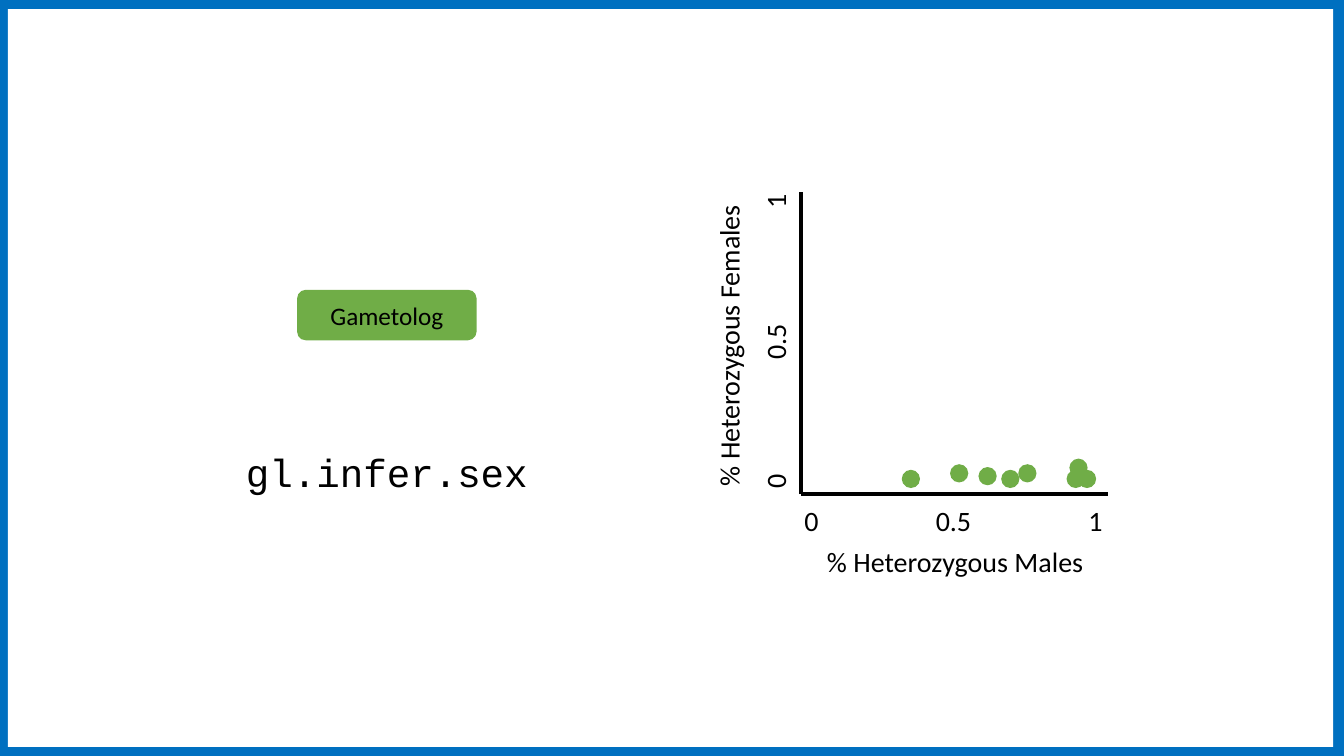
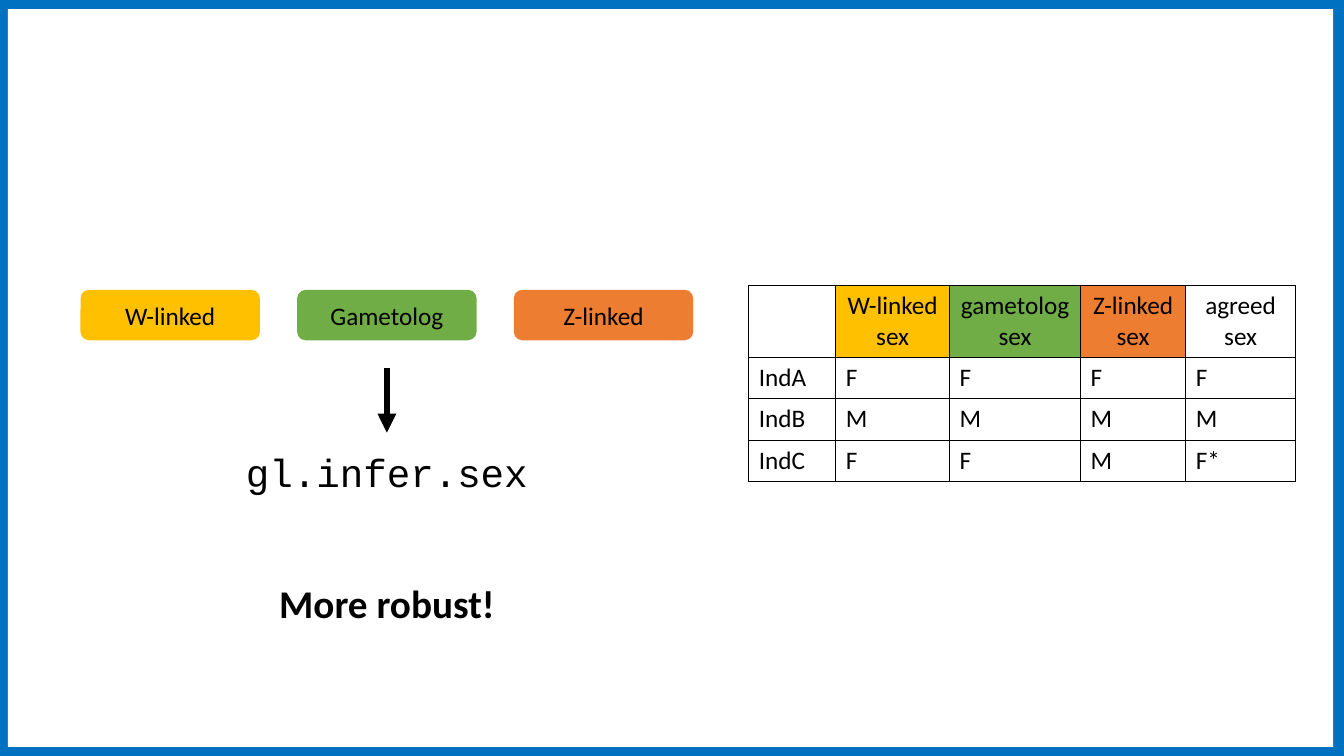
"""Build two slides on inferring sex from sex-linked markers."""
import dataclasses

import pptx
import pptx.dml.color
import pptx.enum.shapes
import pptx.enum.text
import pptx.oxml.ns
import pptx.util
from lxml import etree

Cm = pptx.util.Cm
Pt = pptx.util.Pt
MSO_SHAPE = pptx.enum.shapes.MSO_SHAPE
PP_ALIGN = pptx.enum.text.PP_ALIGN
MSO_ANCHOR = pptx.enum.text.MSO_ANCHOR
qn = pptx.oxml.ns.qn


@dataclasses.dataclass(frozen=True)
class Theme:
    """Colours, fonts and type sizes shared by the slides."""

    frame: str = "0070C0"
    paper: str = "FFFFFF"
    ink: str = "000000"
    w_linked: str = "FFC000"
    gametolog: str = "70AD47"
    z_linked: str = "ED7D31"
    body_font: str = "Calibri"
    code_font: str = "Courier New"
    body_size: int = 18
    axis_size: int = 20
    large_size: int = 28


THEME = Theme()
SLIDE_WIDTH, SLIDE_HEIGHT = 33.87, 19.05
MARKER_CENTRE, MARKER_MIDDLE, MARKER_STEP = 9.75, 7.94, 5.46

HETEROZYGOSITY = [
    (0.97, 0.01), (0.93, 0.01), (0.52, 0.03), (0.76, 0.03),
    (0.94, 0.05), (0.70, 0.01), (0.62, 0.02), (0.35, 0.01),
]
SEX_HEADER = [
    ("", THEME.paper),
    ("W-linked\nsex", THEME.w_linked),
    ("gametolog sex", THEME.gametolog),
    ("Z-linked sex", THEME.z_linked),
    ("agreed sex", THEME.paper),
]
SEX_CALLS = [
    ["IndA", "F", "F", "F", "F"],
    ["IndB", "M", "M", "M", "M"],
    ["IndC", "F", "F", "M", "F*"],
]


def rgb(colour):
    """Turn a hex string into a colour."""
    return pptx.dml.color.RGBColor.from_string(colour)


def write(frame, text, size=THEME.body_size, font=THEME.body_font,
          bold=False, align=PP_ALIGN.CENTER):
    """Write each line of the text as a paragraph with one run."""
    for index, line in enumerate(text.split("\n")):
        paragraph = frame.paragraphs[0] if index == 0 else frame.add_paragraph()
        paragraph.alignment = align
        if line:
            run = paragraph.add_run()
            run.text = line
            run.font.size = Pt(size)
            run.font.name = font
            run.font.bold = bold
            run.font.color.rgb = rgb(THEME.ink)


def add_block(shapes, kind, centre, middle, width, height, colour):
    """Add a plain filled shape around a centre point."""
    block = shapes.add_shape(kind, Cm(centre - width / 2), Cm(middle - height / 2),
                             Cm(width), Cm(height))
    block.shadow.inherit = False
    block.fill.solid()
    block.fill.fore_color.rgb = rgb(colour)
    block.line.fill.background()
    return block


def add_label(shapes, text, centre, middle, width, height=1.12, rotation=0, **style):
    """Add centred text around a centre point."""
    label = shapes.add_textbox(Cm(centre - width / 2), Cm(middle - height / 2),
                               Cm(width), Cm(height))
    label.rotation = rotation
    label.text_frame.word_wrap = True
    label.text_frame.vertical_anchor = MSO_ANCHOR.MIDDLE
    write(label.text_frame, text, **style)


def add_line(shapes, start, end, weight, arrow=False):
    """Add a straight line, with an arrowhead at its end if wanted."""
    line = shapes.add_connector(pptx.enum.shapes.MSO_CONNECTOR.STRAIGHT,
                                *(Cm(length) for length in (*start, *end)))
    line.line.color.rgb = rgb(THEME.ink)
    line.line.width = Pt(weight)
    properties = line.element.spPr
    if arrow:
        etree.SubElement(properties.find(qn("a:ln")), qn("a:tailEnd"), type="triangle")
    etree.SubElement(properties, qn("a:effectLst"))


def add_marker(shapes, text, colour, offset=0):
    """Add a marker button, offset in steps from the middle one."""
    marker = add_block(shapes, MSO_SHAPE.ROUNDED_RECTANGLE,
                       MARKER_CENTRE + offset * MARKER_STEP, MARKER_MIDDLE,
                       4.52, 1.27, colour)
    marker.text_frame.vertical_anchor = MSO_ANCHOR.MIDDLE
    write(marker.text_frame, text)


def add_slide(deck):
    """Add a slide with the framed page, the gametolog marker and the function name."""
    shapes = deck.slides.add_slide(deck.slide_layouts[6]).shapes
    add_block(shapes, MSO_SHAPE.RECTANGLE, 16.9, SLIDE_HEIGHT / 2, 33.4, 18.59, THEME.paper)
    add_marker(shapes, "Gametolog", THEME.gametolog)
    add_label(shapes, "gl.infer.sex", MARKER_CENTRE, 11.88, 7.75, 1.27,
              size=THEME.large_size, font=THEME.code_font)
    return shapes


def add_scatter(shapes):
    """Draw the schematic of heterozygosity in males and females."""
    plot = shapes.add_group_shape().shapes
    origin = (20.19, 12.45)
    zero_x, zero_y, span_x, span_y = 20.45, 12.14, 7.16, 7.06
    add_line(plot, origin, (20.19, 4.83), 3)
    add_line(plot, origin, (27.91, 12.45), 3)
    for tick in ("0", "0.5", "1"):
        value = float(tick)
        add_label(plot, tick, zero_x + value * span_x, 13.11, 1.6, size=THEME.axis_size)
        add_label(plot, tick, 19.53, zero_y - value * span_y, 1.6,
                  rotation=270, size=THEME.axis_size)
    add_label(plot, "% Heterozygous Males", 24.07, 14.15, 9.6, size=THEME.axis_size)
    add_label(plot, "% Heterozygous Females", 18.36, 8.71, 8.9,
              rotation=270, size=THEME.axis_size)
    for males, females in HETEROZYGOSITY:
        add_block(plot, MSO_SHAPE.OVAL, zero_x + males * span_x,
                  zero_y - females * span_y, 0.46, 0.46, THEME.gametolog)


def fill_cell(cell, text, colour, align):
    """Give a cell its borders, fill and text."""
    properties = cell._tc.get_or_add_tcPr()
    for side in ("lnL", "lnR", "lnT", "lnB"):
        border = etree.SubElement(properties, qn(f"a:{side}"), w=str(Pt(1)))
        fill = etree.SubElement(border, qn("a:solidFill"))
        etree.SubElement(fill, qn("a:srgbClr"), val=THEME.ink)
    cell.fill.solid()
    cell.fill.fore_color.rgb = rgb(colour)
    write(cell.text_frame, text, align=align)


def add_sex_table(shapes):
    """Add the table of sexes called by each kind of marker."""
    widths = [2.19, 2.87, 3.3, 2.65, 2.77]
    heights = [1.81] + [1.04] * len(SEX_CALLS)
    table = shapes.add_table(len(heights), len(widths), Cm(18.87), Cm(7.2),
                             Cm(sum(widths)), Cm(sum(heights))).table
    table.first_row = False
    table.horz_banding = False
    for column, width in zip(table.columns, widths):
        column.width = Cm(width)
    for row, height in zip(table.rows, heights):
        row.height = Cm(height)
    for column, (heading, colour) in enumerate(SEX_HEADER):
        fill_cell(table.cell(0, column), heading, colour, PP_ALIGN.CENTER)
    for row, calls in enumerate(SEX_CALLS, start=1):
        for column, call in enumerate(calls):
            fill_cell(table.cell(row, column), call, THEME.paper, PP_ALIGN.LEFT)


def build_gametolog_slide(deck):
    """Build the slide that uses gametologs alone."""
    add_scatter(add_slide(deck))


def build_agreement_slide(deck):
    """Build the slide that combines the three kinds of marker."""
    shapes = add_slide(deck)
    add_marker(shapes, "W-linked", THEME.w_linked, -1)
    add_marker(shapes, "Z-linked", THEME.z_linked, 1)
    add_line(shapes, (MARKER_CENTRE, 9.27), (MARKER_CENTRE, 10.9), 4.5, arrow=True)
    add_label(shapes, "More robust!", MARKER_CENTRE, 15.18, 6.4, 1.45,
              size=THEME.large_size, bold=True)
    add_sex_table(shapes)


def main():
    """Build and save the presentation."""
    deck = pptx.Presentation()
    deck.slide_width = Cm(SLIDE_WIDTH)
    deck.slide_height = Cm(SLIDE_HEIGHT)
    backdrop = deck.slide_master.background.fill
    backdrop.solid()
    backdrop.fore_color.rgb = rgb(THEME.frame)
    build_gametolog_slide(deck)
    build_agreement_slide(deck)
    deck.save("out.pptx")


if __name__ == "__main__":
    main()
